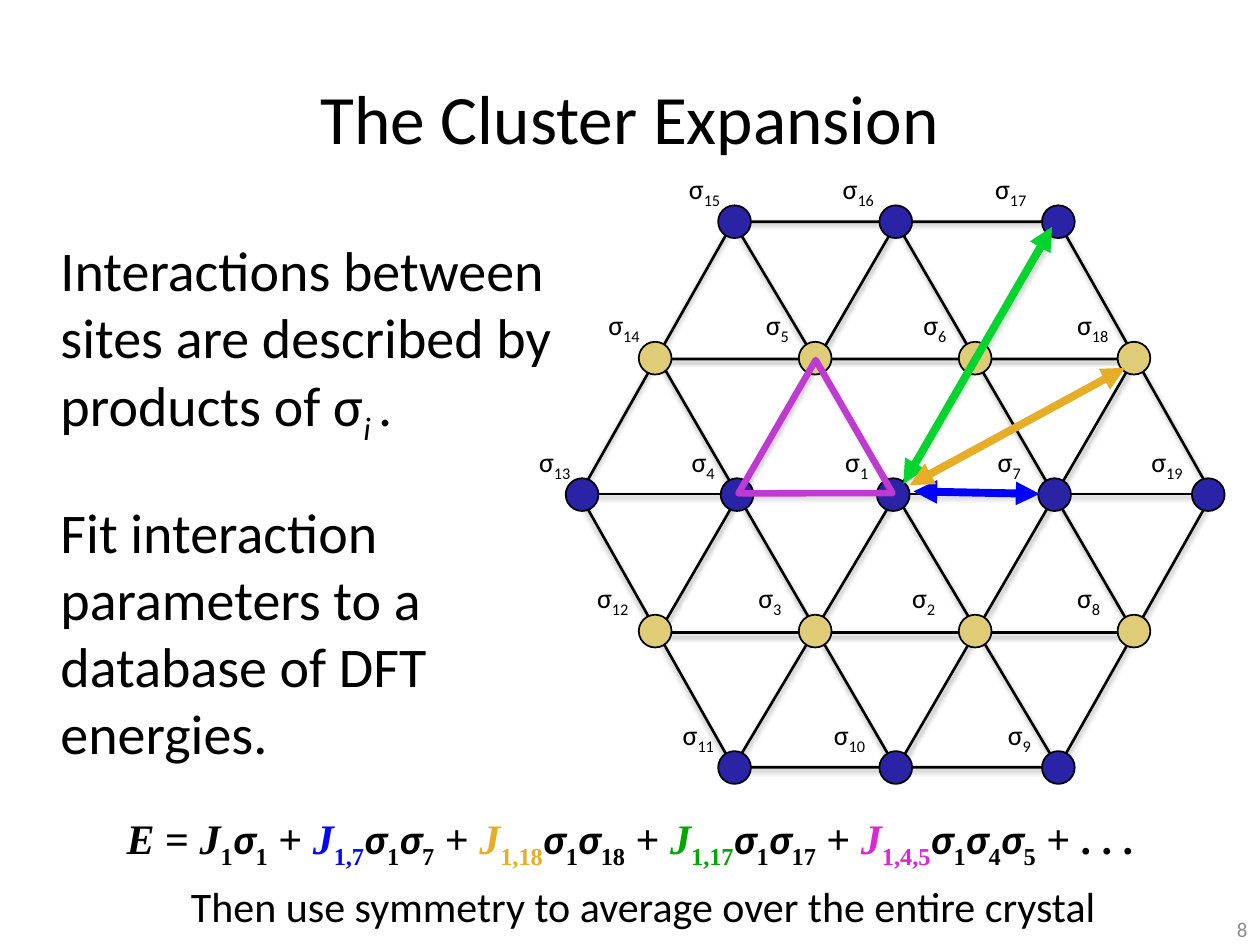
from lxml.etree import SubElement
from pptx import Presentation
from pptx.dml.color import RGBColor
from pptx.enum.shapes import MSO_CONNECTOR as Line, MSO_SHAPE as Shape
from pptx.enum.text import MSO_ANCHOR as Anchor, MSO_AUTO_SIZE as Fit, PP_ALIGN as Align
from pptx.oxml.ns import qn
from pptx.util import Inches, Pt

rgb = RGBColor.from_string
BLACK, BLUE, SAND = "000000", "2A23A6", "DECC76"
SANS, SERIF = "Calibri", "Times New Roman"


def paint(shape, line, width, fill=None, shadow=False):
    """Set outline, fill and shadow of a shape or connector."""
    shape.line.color.rgb = rgb(line)
    shape.line.width = Pt(width)
    if fill:
        shape.fill.solid()
        shape.fill.fore_color.rgb = rgb(fill)
    elif hasattr(shape, "fill"):
        shape.fill.background()
    effects = SubElement(shape._element.spPr, qn("a:effectLst"))
    if shadow:
        outer = SubElement(effects, qn("a:outerShdw"), blurRad=str(Pt(3.1)), dist=str(Pt(1.7)),
                           dir="5400000", rotWithShape="0")
        tone = SubElement(outer, qn("a:srgbClr"), val=BLACK)
        SubElement(tone, qn("a:alpha"), val="37000")


def write(p, text, sub=False, color=BLACK, **fmt):
    """Add one run; fmt holds font attributes."""
    r = p.add_run()
    r.text = text
    r.font.color.rgb = rgb(color)
    for name, value in {"name": SANS, **fmt}.items():
        setattr(r.font, name, value)
    if sub:
        r.font._element.set("baseline", "-25000")


prs = Presentation()
prs.slide_width, prs.slide_height = Inches(10), Inches(7.5)
s = prs.slides.add_slide(prs.slide_layouts[1])

# Title and body
title, body = s.placeholders[0], s.placeholders[1]
for sp, box in ((title, (0.5, 0.3, 9, 1.25)), (body, (0, 1.82, 4.58, 3.97))):
    sp.left, sp.top, sp.width, sp.height = map(Inches, box)
    sp.text_frame.auto_size = Fit.NONE
title.text_frame.vertical_anchor = Anchor.MIDDLE
p = title.text_frame.paragraphs[0]
p.alignment = Align.CENTER
write(p, "The Cluster Expansion", size=Pt(39.6))

first = body.text_frame.paragraphs[0]
second = body.text_frame.add_paragraph()
for p, gap in ((first, 0), (second, 29)):
    p.space_before = Pt(gap)
    pPr = p._p.get_or_add_pPr()
    pPr.set("marL", str(Inches(0.38)))
    pPr.set("indent", "0")
    SubElement(pPr, qn("a:buNone"))
big = {"size": Pt(32)}
write(first, "Interactions between sites are described by products of σ", **big)
write(first, "i ", sub=True, italic=True, **big)
write(first, ".", **big)
write(second, "Fit interaction parameters to a database of DFT energies.", **big)

# Lattice rows: node colour, node centres, site numbers, label lefts
top, pitch, dot = 1.76, 1.083, 0.26
outer, inner = (5.83, 7.11, 8.4), (5.2, 6.47, 7.74, 9)
middle = (4.62, 5.85, 7.09, 8.37, 9.59)
rows = [
    (BLUE, outer, (15, 16, 17), (5.37, 6.59, 7.8)),
    (SAND, inner, (14, 5, 6, 18), (4.73, 5.98, 7.23, 8.45)),
    (BLUE, middle, (13, 4, 1, 7, 19), (4.18, 5.39, 6.61, 7.82, 9.04)),
    (SAND, inner, (12, 3, 2, 8), (4.64, 5.92, 7.14, 8.45)),
    (BLUE, outer, (11, 10, 9), (5.32, 6.52, 7.9)),
]
bottom = top + 4 * pitch
lattice = s.shapes.add_group_shape().shapes

# Bonds
for ends in ((5.82, top, 8.4, bottom), (8.4, top, 5.82, bottom), (4.6, 3.92, 9.62, 3.92)):
    bond = lattice.add_connector(Line.STRAIGHT, *map(Inches, ends))
    paint(bond, BLACK, 1.5, shadow=True)
for kind, box in ((Shape.HEXAGON, (4.6, top, 5.02, 4.33)),
                  (Shape.ISOSCELES_TRIANGLE, (5.23, 1.77, 3.77, 3.25)),
                  (Shape.ISOSCELES_TRIANGLE, (5.23, 2.85, 3.77, 3.25))):
    bonds = lattice.add_shape(kind, *map(Inches, box))
    paint(bonds, BLACK, 1.5, shadow=True)
    if kind == Shape.HEXAGON:
        bonds.adjustments[0] = 0.282
bonds._element.spPr.xfrm.set("flipV", "1")

# Sites and their labels
labels = s.shapes.add_group_shape().shapes
for i, (fill, centres, numbers, lefts) in enumerate(rows):
    y = top + i * pitch
    for x, number, left in zip(centres, numbers, lefts):
        site = lattice.add_shape(Shape.OVAL, Inches(x - dot / 2), Inches(y - dot / 2),
                                 Inches(dot), Inches(dot))
        paint(site, BLACK, 1, fill)
        tf = labels.add_textbox(Inches(left), Inches(y - 0.45), Inches(0.54), Inches(0.35)).text_frame
        tf.word_wrap = True
        write(tf.paragraphs[0], "σ", size=Pt(16))
        write(tf.paragraphs[0], str(number), sub=True, size=Pt(16))

# Pair interactions
for color, ends in (("0000FF", (8.25, 3.92, 7.25, 3.9)),
                    ("03D52E", (7.17, 3.84, 8.35, 1.8)),
                    ("E6AE27", (7.22, 3.85, 8.93, 2.92))):
    pair = s.shapes.add_connector(Line.STRAIGHT, *map(Inches, ends))
    paint(pair, color, 4.5)
    for end in ("a:headEnd", "a:tailEnd"):
        SubElement(pair.line._get_or_add_ln(), qn(end), type="triangle")

# Triplet interaction
triplet = s.shapes.add_shape(Shape.ISOSCELES_TRIANGLE, *map(Inches, (5.71, 3.12, 1.22, 1.06)))
triplet.rotation = 240
paint(triplet, "BE3AD2", 3.75)
SubElement(triplet.line._get_or_add_ln(), qn("a:round"))

# Energy formula, closing line and slide number
lines = []
for box, align in (((0, 6.4, 10, 0.5), Align.CENTER),
                   ((1.16, 6.94, 7.89, 0.5), Align.CENTER),
                   ((7.92, 7.25, 2.08, 0.25), Align.RIGHT)):
    tf = s.shapes.add_textbox(*map(Inches, box)).text_frame
    tf.word_wrap = True
    tf.paragraphs[0].alignment = align
    lines.append(tf.paragraphs[0])
formula, closing, page = lines
tf.vertical_anchor = Anchor.MIDDLE
write(closing, "Then use symmetry to average over the entire crystal", size=Pt(24))
write(page, "8", color="8C8C8C", size=Pt(12))

bold = {"size": Pt(24), "bold": True}
serif = {"name": SERIF, **bold}
write(formula, "E", italic=True, **serif)
write(formula, " = ", **serif)
for color, sites in ((BLACK, "1"), ("0006FF", "1,7"), ("E6AE27", "1,18"),
                     ("00A702", "1,17"), ("DD24D7", "1,4,5")):
    write(formula, "J", color=color, italic=True, **serif)
    write(formula, sites, sub=True, color=color, **serif)
    for number in sites.split(","):
        write(formula, "σ", italic=True, **bold)
        write(formula, number, sub=True, **serif)
    write(formula, " + ", **serif)
write(formula, ". . .", **serif)

prs.save("out.pptx")
